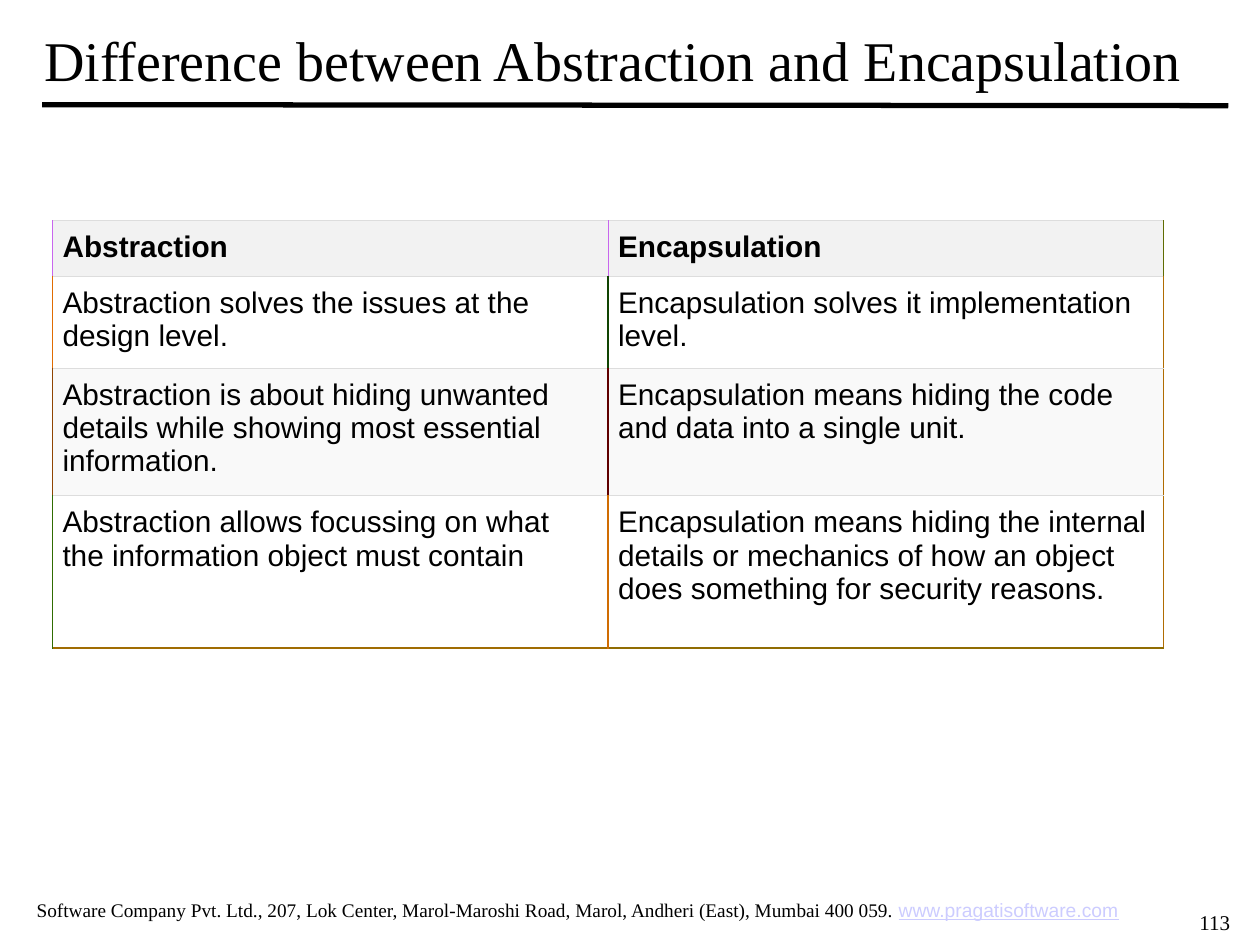
from dataclasses import dataclass

from lxml import etree
from pptx import Presentation
from pptx import util as u
from pptx.dml.color import RGBColor
from pptx.enum import shapes, text
from pptx.oxml.ns import qn


@dataclass(frozen=True)
class Theme:
    """Colours, fonts and type sizes of the slide."""
    ink: str = "000000"
    link: str = "CCCCFF"
    rule: str = "DDDDDD"
    serif: str = "Times New Roman"
    sans: str = "Arial"
    title: int = 32
    body: int = 17
    foot: int = 11
    page: int = 12


THEME = Theme()
ROWS = [
    ("Abstraction", "Encapsulation"),
    ("Abstraction solves the issues at the design level.",
     "Encapsulation solves it implementation level."),
    ("Abstraction is about hiding unwanted details while showing most "
     "essential information.",
     "Encapsulation means hiding the code and data into a single unit."),
    ("Abstraction allows focussing on what the information object must contain",
     "Encapsulation means hiding the internal details or mechanics of how an "
     "object does something for security reasons."),
]
HEIGHTS = (1.12, 1.85, 2.57, 3.07)
FILLS = ("F2F2F2", "FFFFFF", "F9F9F9", "FFFFFF")
SIDES = [
    (("C866EE", 0.75), ("C866EE", 0.75), ("606C02", 1)),
    (("E06C02", 1), ("104402", 1), ("B06C02", 1)),
    (("904502", 1), ("600000", 1), ("B06C02", 1)),
    (("306C02", 1), ("D06C02", 1), ("B06C02", 1)),
]
BASE = (("A06C02", 1), ("906C02", 1))


def style(font, name, size, color=THEME.ink, bold=False):
    """Set the look of a font."""
    font.name, font.size, font.bold = name, u.Pt(size), bold
    font.color.rgb = RGBColor.from_string(color)


def add_text(slide, box, words, size, anchor=text.MSO_ANCHOR.TOP):
    """Add a serif text box and return its paragraph."""
    frame = slide.shapes.add_textbox(*map(u.Cm, box)).text_frame
    frame.word_wrap, frame.vertical_anchor = True, anchor
    para = frame.paragraphs[0]
    para.text = words
    style(para.font, THEME.serif, size)
    return para


def add_head(slide, box):
    """Add the title and the rule under it."""
    left, top, width, height = box
    para = add_text(slide, box, "Difference between Abstraction and Encapsulation",
                    THEME.title, text.MSO_ANCHOR.MIDDLE)
    para.line_spacing = 1.04
    start, end = left + 0.21, left + width + 0.02
    line = slide.shapes.add_connector(
        shapes.MSO_CONNECTOR.STRAIGHT, u.Cm(start), u.Cm(top + height - 0.2),
        u.Cm(end), u.Cm(top + height - 0.18))
    line.line.width = u.Pt(3)
    line.line.color.rgb = RGBColor.from_string(THEME.ink)
    etree.SubElement(line._element.spPr, qn("a:effectLst"))


def set_edges(cell, edges):
    """Draw the left, right, top and bottom borders of a cell."""
    props = cell._tc.get_or_add_tcPr()
    for spot, (side, (color, width)) in enumerate(zip("LRTB", edges)):
        line = etree.Element(qn(f"a:ln{side}"), w=str(u.Pt(width)))
        fill = etree.SubElement(line, qn("a:solidFill"))
        etree.SubElement(fill, qn("a:srgbClr"), val=color)
        props.insert(spot, line)


def add_grid(slide, box):
    """Add the comparison table."""
    grid = slide.shapes.add_table(len(ROWS), len(BASE), *map(u.Cm, box)).table
    grid.first_row = grid.horz_banding = False
    for col in grid.columns:
        col.width = u.Cm(box[2] / len(BASE))
    thin = (THEME.rule, 0.75)
    for r, words in enumerate(ROWS):
        grid.rows[r].height = u.Cm(HEIGHTS[r])
        for c, word in enumerate(words):
            cell = grid.cell(r, c)
            cell.margin_left = cell.margin_right = u.Cm(0.2)
            cell.margin_top = cell.margin_bottom = u.Cm(0.2)
            cell.fill.solid()
            cell.fill.fore_color.rgb = RGBColor.from_string(FILLS[r])
            base = BASE[c] if r == len(ROWS) - 1 else thin
            set_edges(cell, (SIDES[r][c], SIDES[r][c + 1], thin, base))
            para = cell.text_frame.paragraphs[0]
            para.text = word
            style(para.font, THEME.sans, THEME.body, bold=r == 0)


def add_foot(slide, box):
    """Add the address line and the page number."""
    left, top, width, height = box
    para = add_text(
        slide, (left, top, width - 2.01, height),
        "Software Company Pvt. Ltd., 207, Lok Center, Marol-Maroshi Road, "
        "Marol, Andheri (East), Mumbai 400 059. ", THEME.foot)
    para.alignment = text.PP_ALIGN.CENTER
    site = para.add_run()
    site.text = "www.pragatisoftware.com"
    style(site.font, THEME.sans, THEME.foot, THEME.link)
    site.font.underline = True
    add_text(slide, (left + width - 1.37, top + 0.23, 1.37, 0.76), "113", THEME.page)


def main():
    """Build and save the slide."""
    deck = Presentation()
    deck.slide_width, deck.slide_height = u.Cm(25.4), u.Cm(19.05)
    slide = deck.slides.add_slide(deck.slide_layouts[6])
    add_head(slide, (0.64, 0, 24.1, 2.31))
    add_grid(slide, (1.06, 4.45, 22.4, sum(HEIGHTS)))
    add_foot(slide, (0, 17.98, 25.3, 0.74))
    deck.save("out.pptx")


if __name__ == "__main__":
    main()
